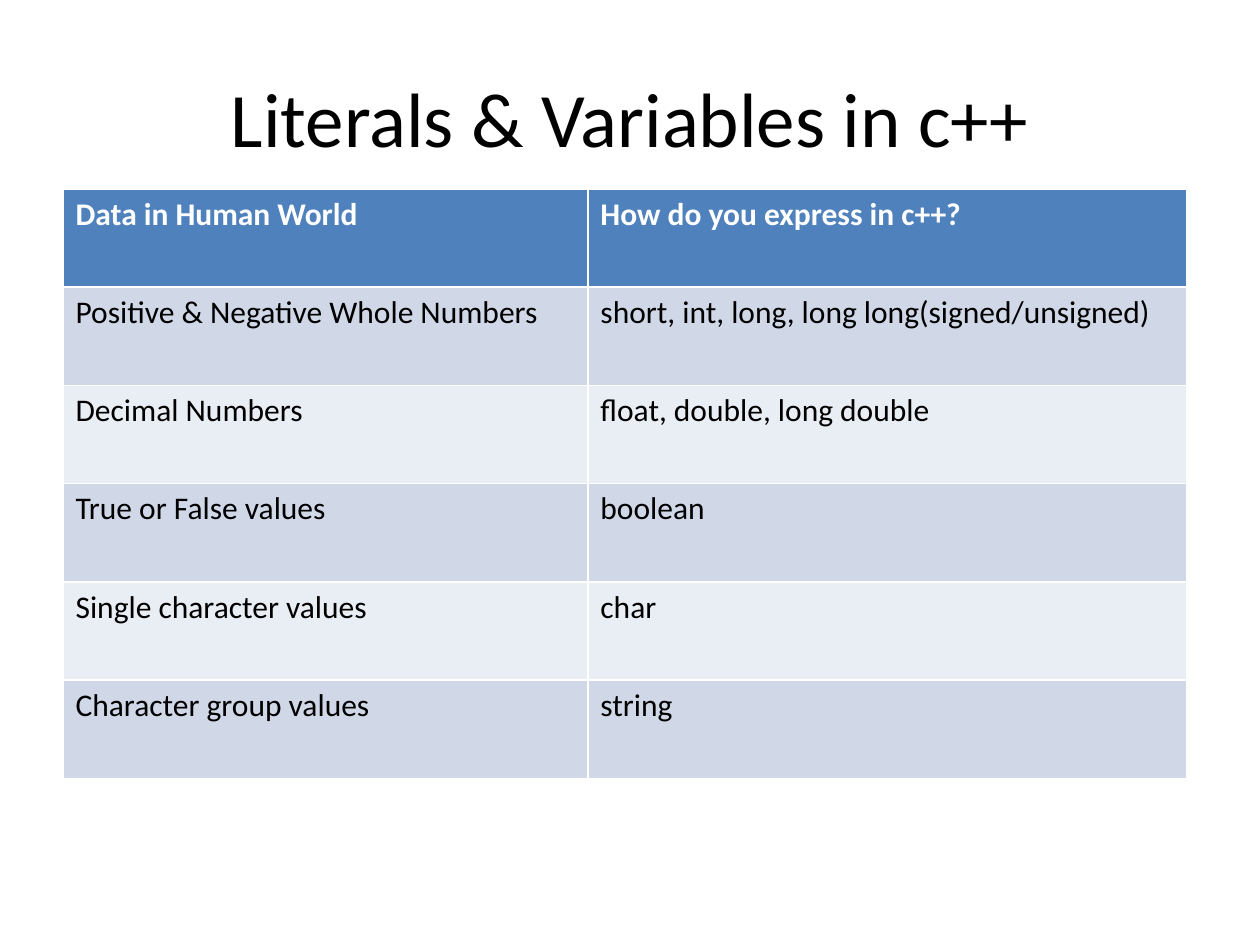
"""Build a slide that maps everyday data to C++ types."""
from pptx import Presentation
from pptx import util as u
from pptx.dml import color
from pptx.enum import text


def add_run(paragraph, words, size, hex_color, bold=False):
    run = paragraph.add_run()
    run.text = words
    run.font.name = "Calibri"
    run.font.size = u.Pt(size)
    run.font.bold = bold
    run.font.color.rgb = color.RGBColor.from_string(hex_color)


ROWS = [
    ("Data in Human World", "How do you express in c++?"),
    ("Positive & Negative Whole Numbers", "short, int, long, long long(signed/unsigned)"),
    ("Decimal Numbers", "float, double, long double"),
    ("True or False values", "boolean"),
    ("Single character values", "char"),
    ("Character group values", "string"),
]
COLUMN_WIDTHS = [u.Cm(10.58), u.Cm(12.07)]
ROW_HEIGHT = u.Cm(1.98)
HEADER_FILL = "4F81BD"
BAND_FILLS = ["E9EDF4", "D0D8E8"]

presentation = Presentation()
presentation.slide_width = u.Cm(25.4)
presentation.slide_height = u.Cm(19.05)
slide = presentation.slides.add_slide(presentation.slide_layouts[5])

title = slide.shapes.title
title.left, title.top = u.Cm(1.27), u.Cm(0.76)
title.width, title.height = u.Cm(22.86), u.Cm(3.18)
title.text_frame.vertical_anchor = text.MSO_ANCHOR.MIDDLE
title_paragraph = title.text_frame.paragraphs[0]
title_paragraph.alignment = text.PP_ALIGN.CENTER
add_run(title_paragraph, "Literals & Variables in c++", 44, "000000")

table = slide.shapes.add_table(
    len(ROWS), len(COLUMN_WIDTHS), u.Cm(1.27), u.Cm(3.81),
    sum(COLUMN_WIDTHS), ROW_HEIGHT * len(ROWS),
).table
for column, width in zip(table.columns, COLUMN_WIDTHS):
    column.width = width

for row_index, row in enumerate(ROWS):
    table.rows[row_index].height = ROW_HEIGHT
    is_header = row_index == 0
    fill = HEADER_FILL if is_header else BAND_FILLS[row_index % 2]
    for column_index, words in enumerate(row):
        cell = table.cell(row_index, column_index)
        cell.fill.solid()
        cell.fill.fore_color.rgb = color.RGBColor.from_string(fill)
        add_run(cell.text_frame.paragraphs[0], words, 18,
                "FFFFFF" if is_header else "000000", is_header)

presentation.save("out.pptx")
